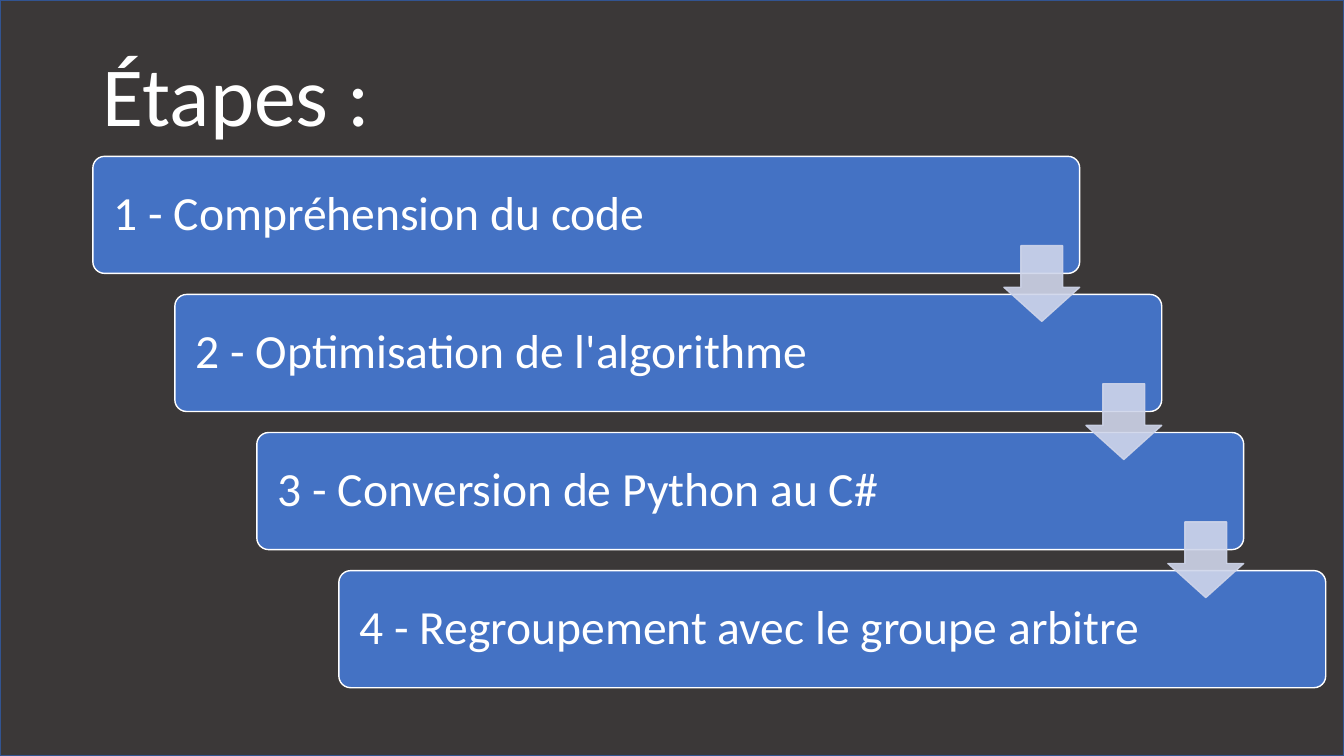
import dataclasses

import lxml.etree
import pptx
import pptx.dml.color
import pptx.enum.shapes
import pptx.enum.text
import pptx.oxml.ns
import pptx.util

Cm = pptx.util.Cm
Shapes = pptx.enum.shapes.MSO_SHAPE


@dataclasses.dataclass(frozen=True)
class Theme:
    """Colours, font and type sizes of the slide."""
    background: str = "3B3838"
    frame: str = "325491"
    step: str = "4472C4"
    arrow: str = "CFD5EA"
    text: str = "FFFFFF"
    font: str = "Calibri"
    title_size: int = 60
    step_size: int = 34


THEME = Theme()
STEPS = [
    "1 - Compréhension du code",
    "2 - Optimisation de l'algorithme",
    "3 - Conversion de Python au C#",
    "4 - Regroupement avec le groupe arbitre",
]


def add_preset(slide, preset, box, fill, line, adjustments=(), opacity=None):
    """Add a filled preset shape in box, given in centimetres."""
    shape = slide.shapes.add_shape(preset, *map(Cm, box))
    shape.shadow.inherit = False
    for index, value in enumerate(adjustments):
        shape.adjustments[index] = value
    shape.fill.solid()
    shape.fill.fore_color.rgb = pptx.dml.color.RGBColor.from_string(fill)
    shape.line.color.rgb = pptx.dml.color.RGBColor.from_string(line)
    shape.line.width = pptx.util.Pt(1)
    if opacity is not None:
        for color in shape.element.spPr.iter(pptx.oxml.ns.qn("a:srgbClr")):
            alpha = lxml.etree.SubElement(color, pptx.oxml.ns.qn("a:alpha"))
            alpha.set("val", str(opacity * 1000))
    return shape


def write_text(shape, text, size, margins, color=THEME.text):
    """Write one left-aligned, vertically centred paragraph in a shape."""
    frame = shape.text_frame
    frame.word_wrap = True
    frame.vertical_anchor = pptx.enum.text.MSO_ANCHOR.MIDDLE
    frame.margin_left = frame.margin_right = Cm(margins[0])
    frame.margin_top = frame.margin_bottom = Cm(margins[1])
    paragraph = frame.paragraphs[0]
    paragraph.alignment = pptx.enum.text.PP_ALIGN.LEFT
    paragraph.line_spacing = 0.9
    run = paragraph.add_run()
    run.text = text
    run.font.name = THEME.font
    run.font.size = pptx.util.Pt(size)
    run.font.color.rgb = pptx.dml.color.RGBColor.from_string(color)


def add_title(slide, box, text):
    """Add the slide title in box."""
    title = slide.shapes.add_textbox(*map(Cm, box))
    write_text(title, text, size=THEME.title_size, margins=(0.25, 0.13))


def add_staircase(slide, box, steps):
    """Add descending steps joined by arrows across box."""
    left, top, width, height = box
    step_width, step_height, arrow_size = 24.87, 2.95, 1.91
    shift_x = (width - step_width) / (len(steps) - 1)
    shift_y = (height - step_height) / (len(steps) - 1)
    corners = [(left + i * shift_x, top + i * shift_y) for i in range(len(steps))]
    for (x, y), text in zip(corners, steps):
        step = add_preset(slide, Shapes.ROUNDED_RECTANGLE,
                          (x, y, step_width, step_height),
                          THEME.step, THEME.text, adjustments=[0.1])
        write_text(step, text, size=THEME.step_size, margins=(0.44, 0.36))
    for x, y in corners[:-1]:
        arrow_box = (x + step_width - arrow_size, y + 2.25, arrow_size, arrow_size)
        add_preset(slide, Shapes.DOWN_ARROW, arrow_box, THEME.arrow, THEME.arrow,
                   adjustments=[0.55, 0.45], opacity=90)


def main():
    """Build and save the presentation."""
    presentation = pptx.Presentation()
    width, height = 33.87, 19.05
    presentation.slide_width, presentation.slide_height = Cm(width), Cm(height)
    slide = presentation.slides.add_slide(presentation.slide_layouts[6])
    add_preset(slide, Shapes.RECTANGLE, (0, 0, width, height),
               THEME.background, THEME.frame)
    add_title(slide, (2.34, 0.66, 29.21, 3.68), "Étapes :")
    add_staircase(slide, (2.34, 3.94, 31.07, 13.39), STEPS)
    presentation.save("out.pptx")


if __name__ == "__main__":
    main()
